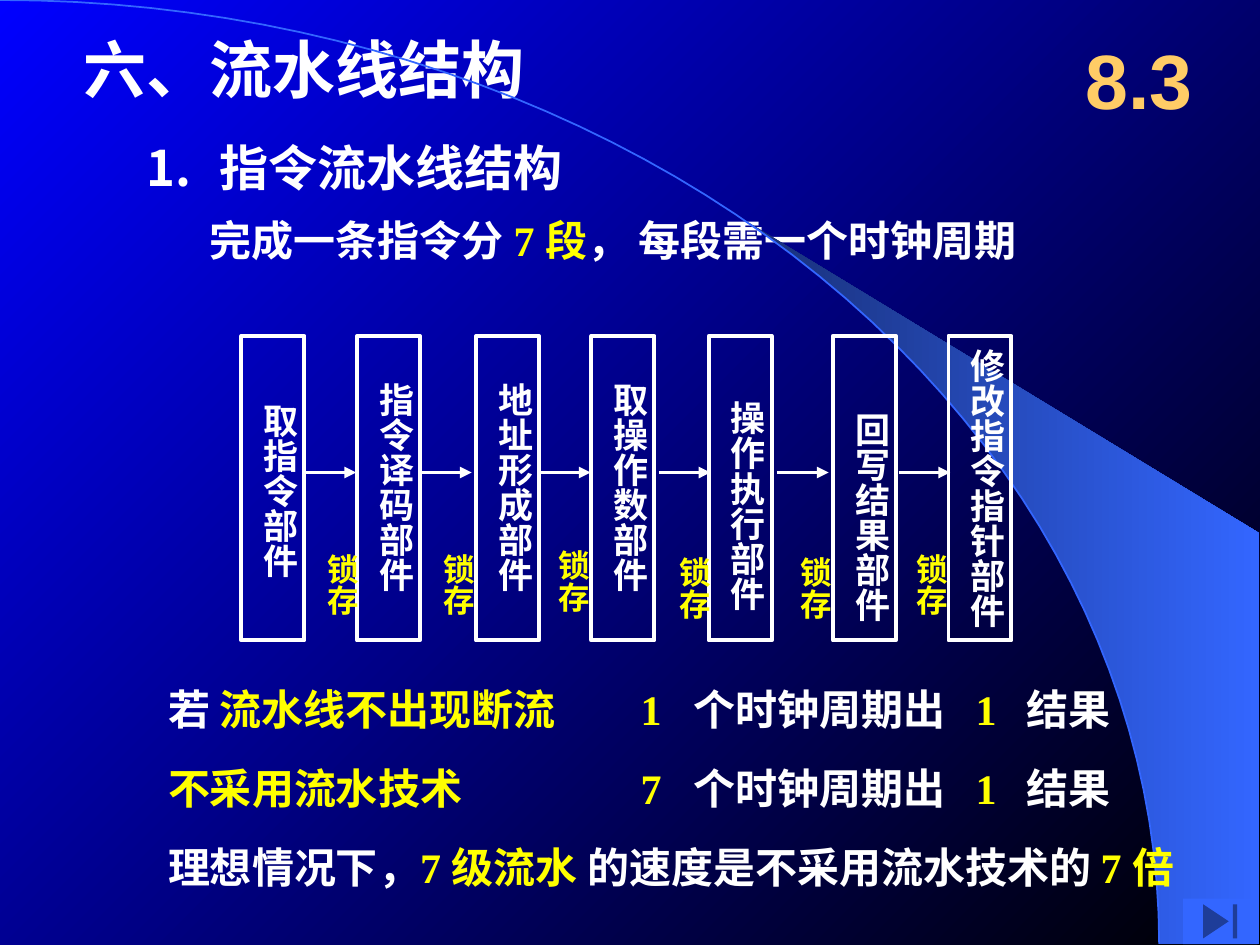
"""Builds the slide on the seven-stage instruction pipeline."""
import math

import pptx
import pptx.dml.color
import pptx.enum.shapes
import pptx.enum.text
import pptx.oxml.ns
import pptx.util
from lxml import etree

Pt = pptx.util.Pt
MSO_SHAPE = pptx.enum.shapes.MSO_SHAPE
ANCHOR = pptx.enum.text.MSO_ANCHOR
ALIGN = pptx.enum.text.PP_ALIGN

WHITE, YELLOW, BLUE = "FFFFFF", "FFFF00", "3366FF"
SERIF = "Times New Roman"

TITLE = "六、流水线结构"
SECTION = "8.3"
HEADING = [("指令流水线结构", WHITE)]
INTRO = [("完成一条指令分 ", WHITE), ("7 段", YELLOW), ("， 每段需一个时钟周期", WHITE)]

# stage name, frame left, middle of the name
STAGES = [
    ("取指令部件", 138, 282),
    ("指令译码部件", 204, 280),
    ("地址形成部件", 272, 280),
    ("取操作数部件", 338, 280),
    ("操作执行部件", 405, 290.5),
    ("回写结果部件", 476, 297),
    ("修改指令指针部件", 542, 280.5),
]
LATCH = "锁存"
LATCHES = [(174, 174, 335.5), (240, 240.5, 335.5), (308, 306, 333.5),
           (376.5, 375, 337.5), (444, 444, 337.5), (513.5, 510.5, 335.5)]


def rate(cycles):
    return [(cycles + "\t", YELLOW), ("个时钟周期出\t", WHITE),
            ("1\t", YELLOW), ("结果", WHITE)]


RATE_TABS = (30.5, 191.5, 220.5)
RESULTS = [
    (96, 384, 315, [("若 ", WHITE), ("流水线不出现断流", YELLOW)]),
    (366, 384, 312, rate("1")),
    (96, 429, 315, [("不采用流水技术", YELLOW)]),
    (366, 429, 312, rate("7")),
    (96, 474, 624, [("理想情况下，", WHITE), ("7 级流水 ", YELLOW),
                    ("的速度是不采用流水技术的 ", WHITE), ("7 倍", YELLOW)]),
]


def rgb(value):
    return pptx.dml.color.RGBColor.from_string(value)


def add_xml(parent, tag, **attrs):
    return etree.SubElement(parent, pptx.oxml.ns.qn("a:" + tag), attrs)


def place(sp, x, y, w, h):
    sp.left, sp.top, sp.width, sp.height = Pt(x), Pt(y), Pt(w), Pt(h)


def frame(sp, anchor, margin_x=0, margin_y=3.6):
    tf = sp.text_frame
    tf.word_wrap = True
    tf.auto_size = pptx.enum.text.MSO_AUTO_SIZE.NONE
    tf.vertical_anchor = anchor
    tf.margin_left = tf.margin_right = Pt(margin_x)
    tf.margin_top = tf.margin_bottom = Pt(margin_y)
    return tf


def write(p, spans, size, font=SERIF, align=ALIGN.LEFT, before=0):
    p.alignment = align
    p.space_before = Pt(before)
    p.font.name, p.font.size, p.font.bold = font, Pt(size), True
    for text, color in spans:
        r = p.add_run()
        r.text = text
        r.font.color.rgb = rgb(color)


def indent(p, left, first, bullet, **attrs):
    pPr = p._p.get_or_add_pPr()
    pPr.set("marL", str(Pt(left)))
    pPr.set("indent", str(Pt(first)))
    add_xml(pPr, bullet, **attrs)


def gradient(fill, start, end, angle):
    fill.gradient()
    fill.gradient_angle = angle
    for stop, color in zip(fill.gradient_stops, (start, end)):
        stop.color.rgb = rgb(color)


def arc_points(start):
    steps = 48
    angles = [start + (math.pi / 2 - start) * i / steps for i in range(steps + 1)]
    return [(662.4 * math.sin(a), 539.3 * (1 - math.cos(a))) for a in angles]


def outline(s, points, close):
    points = [(Pt(x), Pt(y)) for x, y in points]
    builder = s.shapes.build_freeform(*points[0], scale=1.0)
    builder.add_line_segments(points[1:], close=close)
    sp = builder.convert_to_shape()
    sp.shadow.inherit = False
    return sp


def add_backdrop(s):
    gradient(s.background.fill, "0000FF", "000000", 315)
    beam = outline(s, arc_points(0.695) + [(719.3, 539.3), (719.3, 304.6)], True)
    gradient(beam.fill, "182F76", BLUE, 0)
    beam.line.fill.background()
    arc = outline(s, arc_points(0), False)
    arc.fill.background()
    arc.line.color.rgb, arc.line.width = rgb(BLUE), Pt(1)


def add_vertical(s, text, x, middle, w, size, color):
    h = len(text) * size + 17
    sp = s.shapes.add_textbox(Pt(x), Pt(middle - h / 2), Pt(w), Pt(h))
    tf = frame(sp, ANCHOR.TOP, 3.6, 7.2)
    tf._txBody.bodyPr.set("vert", "eaVert")
    write(tf.paragraphs[0], [(text, color)], size, align=ALIGN.CENTER)


def add_stage(s, text, x, middle):
    add_vertical(s, text, x - 0.5, middle, 38, 20, WHITE)
    sp = s.shapes.add_shape(MSO_SHAPE.RECTANGLE, Pt(x), Pt(192), Pt(36), Pt(174))
    sp.shadow.inherit = False
    sp.fill.background()
    sp.line.color.rgb, sp.line.width = rgb(WHITE), Pt(2.25)


def add_arrow(s, x):
    line = s.shapes.add_connector(pptx.enum.shapes.MSO_CONNECTOR.STRAIGHT,
                                  Pt(x), Pt(270), Pt(x + 29.5), Pt(270))
    line.line.color.rgb, line.line.width = rgb(WHITE), Pt(2.25)
    add_xml(line.line._get_or_add_ln(), "tailEnd", type="triangle")
    add_xml(line._element.spPr, "effectLst")


def main():
    prs = pptx.Presentation()
    prs.slide_width, prs.slide_height = Pt(720), Pt(540)
    s = prs.slides.add_slide(prs.slide_layouts[1])
    title, body = s.placeholders
    add_backdrop(s)

    place(title, 48, 18, 482, 42)
    write(frame(title, ANCHOR.MIDDLE).paragraphs[0], [(TITLE, WHITE)], 36)

    place(body, 84, 75, 577, 93)
    tf = frame(body, ANCHOR.TOP)
    p = tf.paragraphs[0]
    indent(p, 41.5, -41.5, "buAutoNum", type="arabicPeriod")
    write(p, HEADING, 28)
    p = tf.add_paragraph()
    indent(p, 36, 0, "buNone")
    write(p, INTRO, 24, before=10.5)

    for x, y, w, spans in RESULTS:
        sp = s.shapes.add_textbox(Pt(x), Pt(y), Pt(w), Pt(42))
        p = frame(sp, ANCHOR.MIDDLE).paragraphs[0]
        if x == 366:
            tabs = add_xml(p._p.get_or_add_pPr(), "tabLst")
            for pos in RATE_TABS:
                add_xml(tabs, "tab", pos=str(Pt(pos)), algn="l")
        write(p, spans, 24)

    for stage in STAGES:
        add_stage(s, *stage)
    for arrow_x, x, middle in LATCHES:
        add_arrow(s, arrow_x)
        add_vertical(s, LATCH, x, middle, 36, 18, YELLOW)

    sp = s.shapes.add_textbox(Pt(606), Pt(12), Pt(90), Pt(66))
    tf = frame(sp, ANCHOR.MIDDLE, 7.2)
    write(tf.paragraphs[0], [(SECTION, "FFCC66")], 44, "Arial", ALIGN.CENTER)

    sp = s.shapes.add_shape(MSO_SHAPE.ACTION_BUTTON_END,
                            Pt(676), Pt(513.5), Pt(42.5), Pt(26))
    sp.shadow.inherit = False
    sp.fill.solid()
    sp.fill.fore_color.rgb = rgb(BLUE)
    sp.line.fill.background()

    prs.save("out.pptx")


if __name__ == "__main__":
    main()
